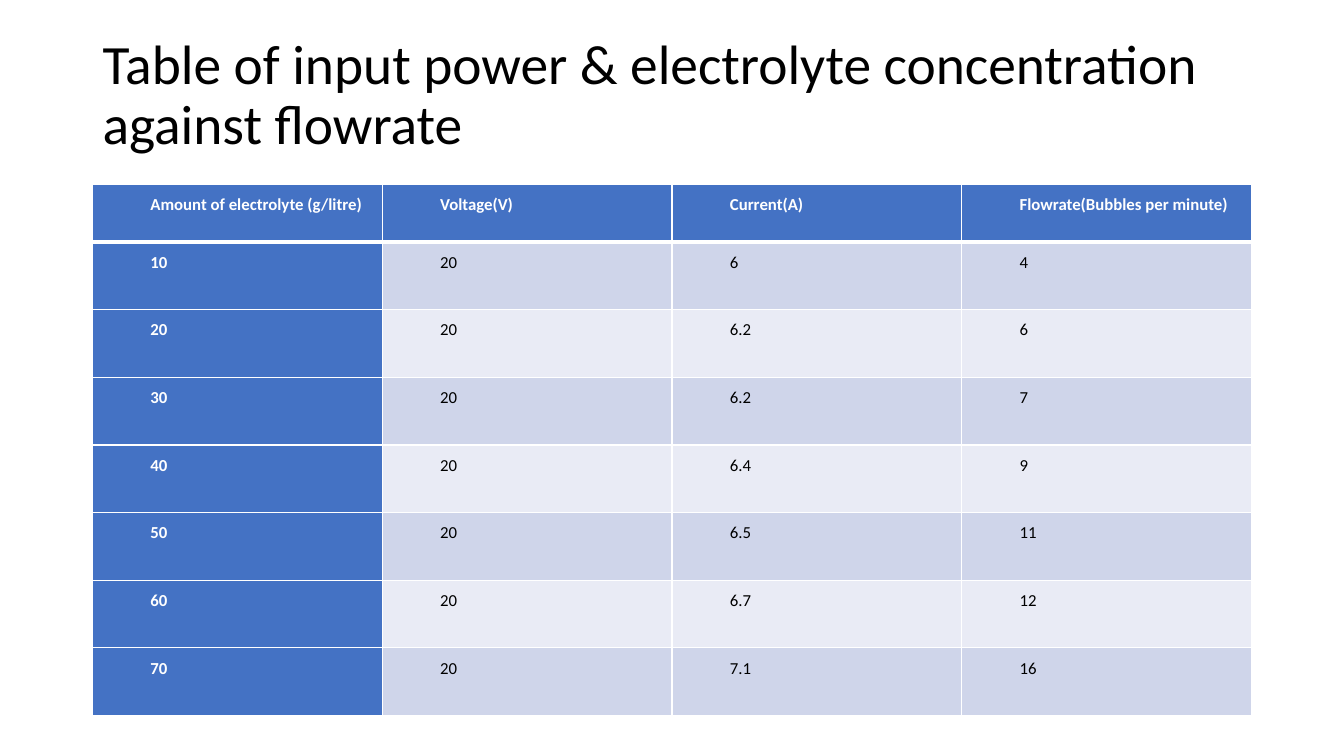
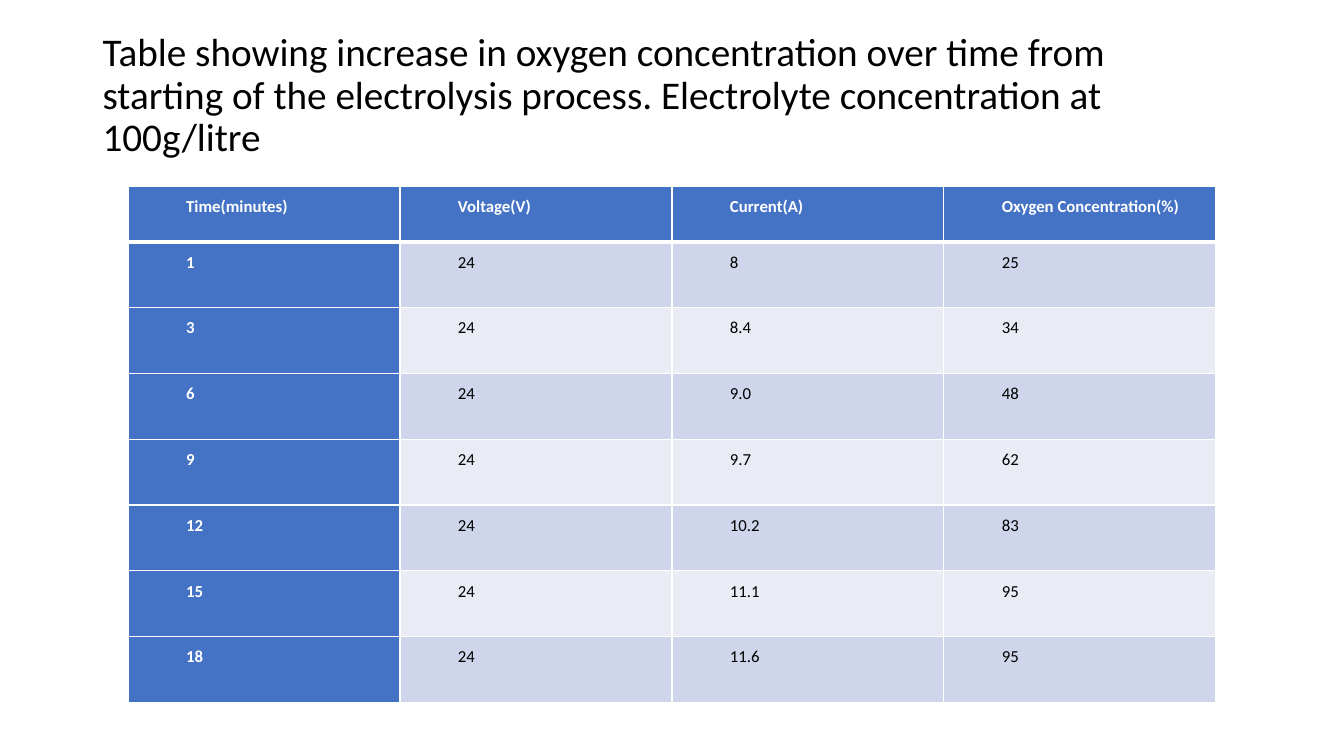
from lxml.etree import SubElement
from pptx import Presentation
from pptx.dml.color import RGBColor
from pptx.enum.text import MSO_ANCHOR, MSO_AUTO_SIZE, PP_ALIGN
from pptx.oxml.ns import qn
from pptx.util import Cm, Pt

FONT = "Calibri"
BLACK, WHITE = "000000", "FFFFFF"
BLUE = "4472C4"
BANDS = ("CFD5EA", "E9EBF5")
TITLE_ONLY = 5
THIN, THICK = 1, 3

FLOWRATE = [
    ("Amount of electrolyte (g/litre)", "Voltage(V)", "Current(A)",
     "Flowrate(Bubbles per minute)"),
    ("10", "20", "6", "4"),
    ("20", "20", "6.2", "6"),
    ("30", "20", "6.2", "7"),
    ("40", "20", "6.4", "9"),
    ("50", "20", "6.5", "11"),
    ("60", "20", "6.7", "12"),
    ("70", "20", "7.1", "16"),
]
OXYGEN = [
    ("Time(minutes)", "Voltage(V)", "Current(A)", "Oxygen Concentration(%)"),
    ("1", "24", "8", "25"),
    ("3", "24", "8.4", "34"),
    ("6", "24", "9.0", "48"),
    ("9", "24", "9.7", "62"),
    ("12", "24", "10.2", "83"),
    ("15", "24", "11.1", "95"),
    ("18", "24", "11.6", "95"),
]


def rgb(value):
    return RGBColor.from_string(value)


def style_font(paragraph, size, color, bold=False):
    font = paragraph.font
    font.name, font.size, font.bold = FONT, Pt(size), bold
    font.color.rgb = rgb(color)


def place_title(slide, text, size, box):
    title = slide.shapes.title
    title.left, title.top, title.width, title.height = map(Cm, box)
    frame = title.text_frame
    frame.text = text
    frame.word_wrap = True
    frame.auto_size = MSO_AUTO_SIZE.NONE
    frame.vertical_anchor = MSO_ANCHOR.MIDDLE
    paragraph = frame.paragraphs[0]
    paragraph.alignment = PP_ALIGN.LEFT
    paragraph.line_spacing = 0.9
    style_font(paragraph, size, BLACK)


def add_borders(cell, top, bottom):
    """Draw white cell borders; call before the fill, which must follow in the XML."""
    properties = cell._tc.get_or_add_tcPr()
    for side, points in (("L", THIN), ("R", THIN), ("T", top), ("B", bottom)):
        line = SubElement(properties, qn(f"a:ln{side}"), w=str(Pt(points)))
        SubElement(SubElement(line, qn("a:solidFill")), qn("a:srgbClr"), val=WHITE)


def format_cell(cell, text, row, column):
    is_heading = row == 0 or column == 0
    cell.margin_left = cell.margin_right = Cm(0.19)
    cell.margin_top = cell.margin_bottom = 0
    add_borders(cell, top=THICK if row == 1 else THIN,
                bottom=THICK if row == 0 else THIN)
    cell.fill.solid()
    cell.fill.fore_color.rgb = rgb(BLUE if is_heading else BANDS[(row - 1) % 2])
    cell.text = text
    paragraph = cell.text_frame.paragraphs[0]
    paragraph.alignment = PP_ALIGN.JUSTIFY
    paragraph.line_spacing = 1.5
    indent = paragraph._p.get_or_add_pPr()
    indent.set("marL", str(Cm(1.27)))
    indent.set("indent", "0")
    style_font(paragraph, 12, WHITE if is_heading else BLACK, is_heading)


def place_table(slide, records, box, header_height):
    left, top, width, height = box
    row_count, column_count = len(records), len(records[0])
    table = slide.shapes.add_table(row_count, column_count, *map(Cm, box)).table
    table.first_col = True
    for column in table.columns:
        column.width = Cm(width / column_count)
    for row in table.rows:
        row.height = Cm((height - header_height) / (row_count - 1))
    table.rows[0].height = Cm(header_height)
    for r, record in enumerate(records):
        for c, text in enumerate(record):
            format_cell(table.cell(r, c), text, r, c)


def add_table_slide(deck, title, title_size, title_box, records, table_box,
                    header_height):
    slide = deck.slides.add_slide(deck.slide_layouts[TITLE_ONLY])
    place_title(slide, title, title_size, title_box)
    place_table(slide, records, table_box, header_height)


def main():
    deck = Presentation()
    deck.slide_width, deck.slide_height = Cm(33.87), Cm(19.05)
    add_table_slide(
        deck, "Table of input power & electrolyte concentration against flowrate",
        39.6, (2.33, 1.02, 29.21, 2.84),
        FLOWRATE, (2.33, 4.65, 29.21, 13.38), 1.45)
    add_table_slide(
        deck, "Table showing increase in oxygen concentration over time from "
        "starting of the electrolysis process. Electrolyte concentration at "
        "100g/litre",
        28, (2.33, 1.02, 28.3, 2.82),
        OXYGEN, (3.23, 4.7, 27.41, 13), 1.4)
    deck.save("out.pptx")


if __name__ == "__main__":
    main()
